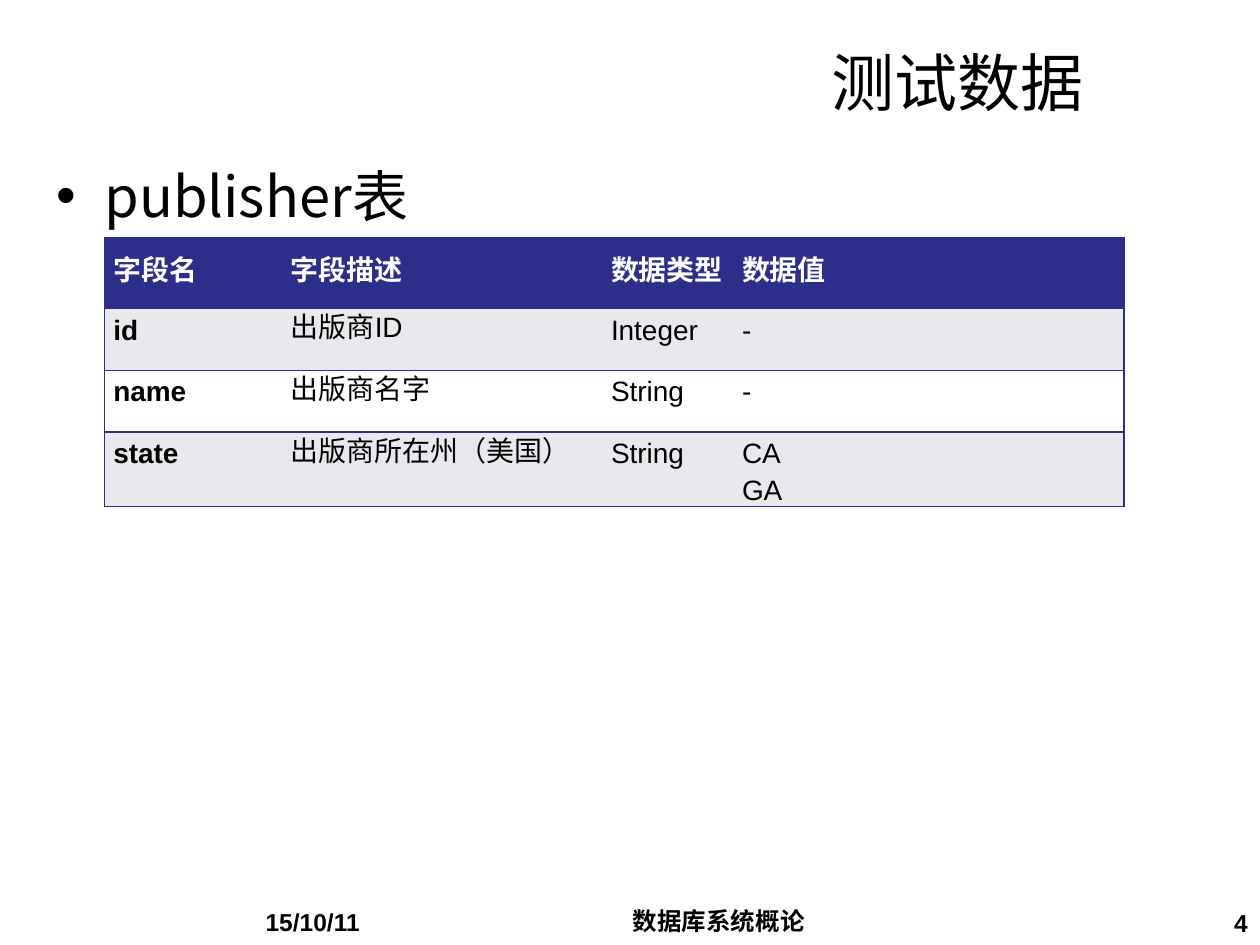
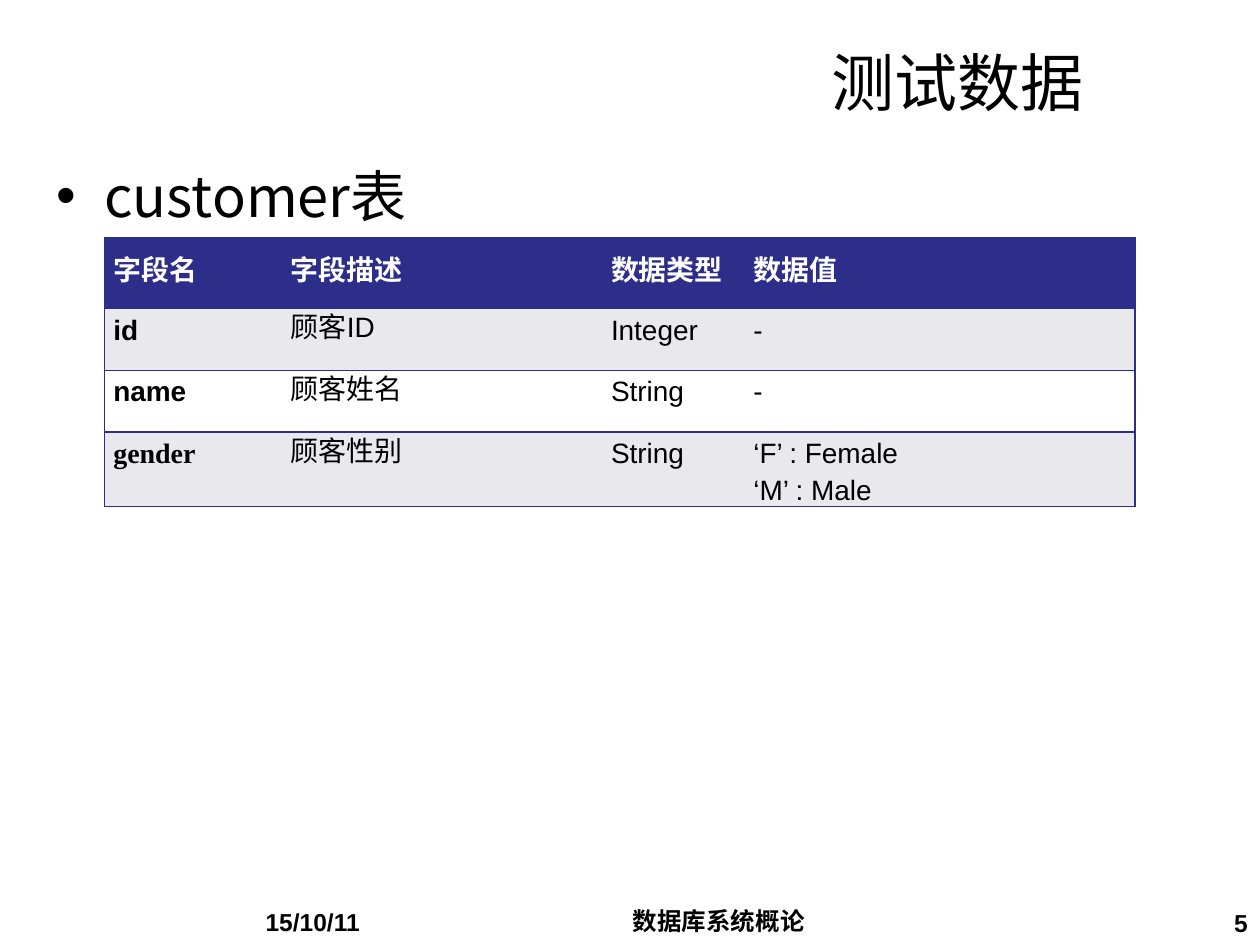
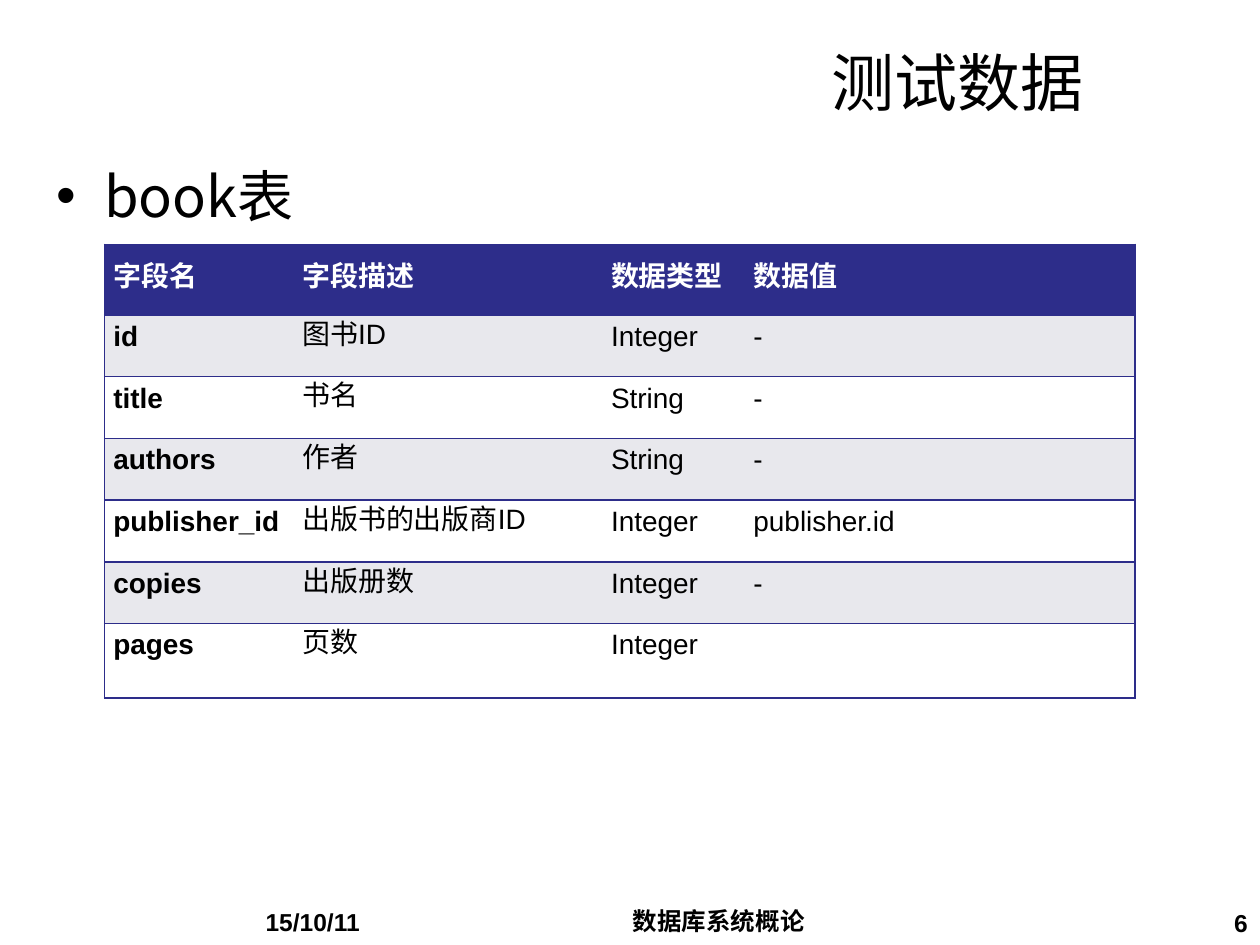
from lxml import etree
from pptx import Presentation
from pptx.dml.color import RGBColor
from pptx.enum.text import MSO_ANCHOR, PP_ALIGN
from pptx.oxml.ns import qn
from pptx.util import Inches, Pt

BLACK = RGBColor(0x00, 0x00, 0x00)
WHITE = RGBColor(0xFF, 0xFF, 0xFF)
NAVY = RGBColor(0x2D, 0x2D, 0x8A)
PALE = RGBColor(0xE8, 0xE8, 0xED)

LEFT, CENTER, RIGHT = PP_ALIGN.LEFT, PP_ALIGN.CENTER, PP_ALIGN.RIGHT
TOP, MIDDLE = MSO_ANCHOR.TOP, MSO_ANCHOR.MIDDLE
SANS, SERIF, HAN = "Arial", "Times New Roman", "Noto Sans CJK SC"

TITLE = {"size": Pt(36), "name": SERIF, "bold": False}
BODY = {"size": Pt(32), "name": HAN, "bold": False}
FOOT = {"size": Pt(14), "name": SANS, "bold": True}
CELL = {"size": Pt(16), "name": SANS, "bold": False}

TITLE_BOX = (1.14, 0.21, 7.56, 0.87)
BODY_BOX = (0.35, 1.23, 9.37, 5.75)
DATE_BOX = (2.01, 7.15, 2.2, 0.35)
NAME_BOX = (3.5, 7.14, 4.41, 0.44)
PAGE_BOX = (8.39, 7.16, 1.61, 0.37)

HEAD_ROW, ROW, LAST_ROW = 0.56, 0.49, 0.59
HEADS = ("字段名", "字段描述", "数据类型", "数据值")
FIRST_PAGE = 4

TABLES = [
    {"name": "publisher表", "at": (0.83, 1.89), "cols": (1.41, 2.54, 1.04, 3.1),
     "rows": [("id", "出版商ID", "Integer", "-"),
              ("name", "出版商名字", "String", "-"),
              ("state", "出版商所在州（美国）", "String", "CA\nGA")]},
    {"name": "customer表", "at": (0.83, 1.89), "cols": (1.41, 2.54, 1.13, 3.1),
     "rows": [("id", "顾客ID", "Integer", "-"),
              ("name", "顾客姓名", "String", "-"),
              ("gender", "顾客性别", "String", "‘F’ : Female\n‘M’ : Male")],
     "serif": "gender"},
    {"name": "book表", "at": (0.83, 1.94), "cols": (1.5, 2.45, 1.13, 3.1),
     "rows": [("id", "图书ID", "Integer", "-"),
              ("title", "书名", "String", "-"),
              ("authors", "作者", "String", "-"),
              ("publisher_id", "出版书的出版商ID", "Integer", "publisher.id"),
              ("copies", "出版册数", "Integer", "-"),
              ("pages", "页数", "Integer", "")]},
]


def write(frame, text, style, color=BLACK, align=LEFT, space=None):
    """Fill a text frame, one paragraph a line, and return the first one."""
    frame.text = text
    for para in frame.paragraphs:
        para.alignment = align
        para.line_spacing = space
        for run in para.runs:
            for key, value in style.items():
                setattr(run.font, key, value)
            run.font.color.rgb = color
            props = run.font._element
            etree.SubElement(props, qn("a:ea")).set("typeface", HAN)
    return frame.paragraphs[0]


def add_text(slide, box, text, style, align=LEFT):
    frame = slide.shapes.add_textbox(*map(Inches, box)).text_frame
    frame.word_wrap = True
    return write(frame, text, style, align=align)


def add_title(slide, box, text):
    title = slide.shapes.title
    title.left, title.top, title.width, title.height = map(Inches, box)
    title.text_frame.vertical_anchor = MIDDLE
    write(title.text_frame, text, TITLE, align=RIGHT)


def add_bullet(slide, box, text):
    para = add_text(slide, box, text, BODY)
    para.space_before = Pt(6.4)
    props = para._p.get_or_add_pPr()
    props.set("marL", str(Inches(0.38)))
    props.set("indent", str(-Inches(0.38)))
    etree.SubElement(props, qn("a:buFont")).set("typeface", SANS)
    etree.SubElement(props, qn("a:buChar")).set("char", "•")


def add_footer(slide, page):
    add_text(slide, DATE_BOX, "15/10/11", FOOT)
    add_text(slide, NAME_BOX, "数据库系统概论", FOOT, CENTER)
    add_text(slide, PAGE_BOX, str(page), FOOT, RIGHT)


def set_edges(cell, sides):
    """Draw the named sides of a cell and clear the others."""
    props = cell._tc.get_or_add_tcPr()
    for place, side in enumerate("LRTB"):
        line = etree.Element(qn("a:ln" + side), w=str(Pt(1)))
        if side in sides:
            fill = etree.SubElement(line, qn("a:solidFill"))
            etree.SubElement(fill, qn("a:srgbClr")).set("val", str(NAVY))
        else:
            etree.SubElement(line, qn("a:noFill"))
        props.insert(place, line)


def set_cell(cell, text, style, head, fill, sides):
    cell.margin_left = cell.margin_right = Inches(0.07)
    cell.margin_top = cell.margin_bottom = 0
    cell.vertical_anchor = MIDDLE if head else TOP
    cell.fill.solid()
    cell.fill.fore_color.rgb = fill
    write(cell.text_frame, text, style, WHITE if head else BLACK,
          space=Pt(17.3 if head else 21.3))
    set_edges(cell, sides)


def add_grid(slide, at, cols, rows, serif=None):
    rows = [HEADS, *rows]
    highs = [HEAD_ROW] + [ROW] * (len(rows) - 2) + [LAST_ROW]
    box = (*at, sum(cols), sum(highs))
    table = slide.shapes.add_table(len(rows), len(cols), *map(Inches, box)).table
    for col, wide in zip(table.columns, cols):
        col.width = Inches(wide)
    for r, (line, high) in enumerate(zip(rows, highs)):
        table.rows[r].height = Inches(high)
        head = r == 0
        fill = NAVY if head else PALE if r % 2 else WHITE
        for c, text in enumerate(line):
            first, last = c == 0, c == len(cols) - 1
            style = {**CELL, "bold": head or first}
            if first and text == serif:
                style["name"] = SERIF
            sides = "TB" + "L" * first + "R" * last
            set_cell(table.cell(r, c), text, style, head, fill, sides)


def add_page(deck, page, data):
    slide = deck.slides.add_slide(deck.slide_layouts.get_by_name("Title Only"))
    add_title(slide, TITLE_BOX, "测试数据")
    add_bullet(slide, BODY_BOX, data["name"])
    add_footer(slide, page)
    add_grid(slide, data["at"], data["cols"], data["rows"], data.get("serif"))


def main():
    deck = Presentation()
    deck.slide_width, deck.slide_height = Inches(10), Inches(7.5)
    for page, data in enumerate(TABLES, FIRST_PAGE):
        add_page(deck, page, data)
    deck.save("out.pptx")


if __name__ == "__main__":
    main()
